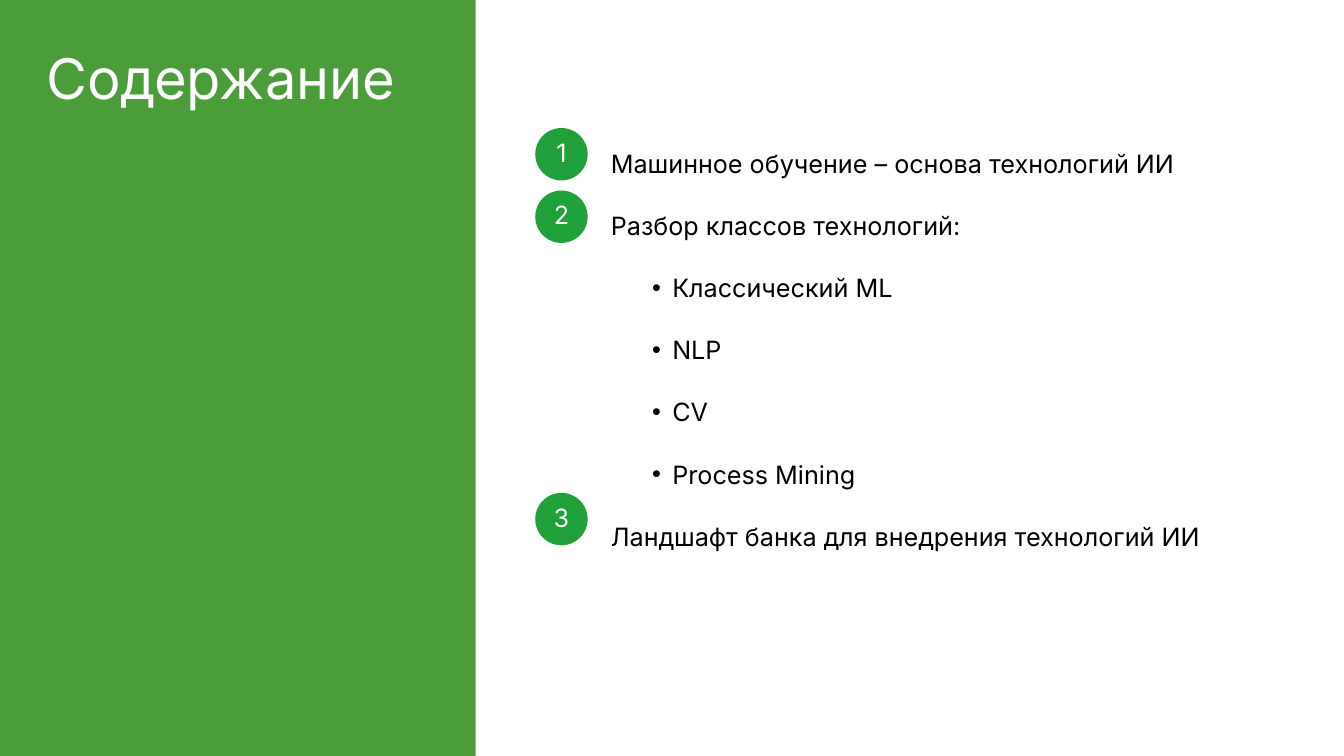
from pptx import Presentation
from pptx.dml.color import RGBColor
from pptx.enum.shapes import MSO_SHAPE
from pptx.enum.text import MSO_ANCHOR, PP_ALIGN
from pptx.oxml.ns import qn
from pptx.util import Pt
from lxml.etree import SubElement

WHITE = RGBColor(0xFF, 0xFF, 0xFF)
BLACK = RGBColor(0x00, 0x00, 0x00)
PANEL_GREEN = RGBColor(0x4B, 0x9D, 0x39)
BADGE_GREEN = RGBColor(0x1F, 0xA0, 0x39)

BADGE_TOPS = [91.44, 136.08, 352.08]
AGENDA = [
    ("Машинное обучение – основа технологий ИИ", []),
    ("Разбор классов технологий:",
     ["Классический ML", "NLP", "CV", "Process Mining"]),
    ("Ландшафт банка для внедрения технологий ИИ", []),
]


class Page:
    font_name = "Inter"
    inset = 3.6
    text_size = 18
    title_size = 40

    def __init__(self, slide):
        self.shapes = slide.shapes

    def shape(self, kind, left, top, width, height, color):
        shape = self.shapes.add_shape(
            kind, Pt(left), Pt(top), Pt(width), Pt(height))
        shape.shadow.inherit = False
        shape.fill.solid()
        shape.fill.fore_color.rgb = color
        shape.line.fill.background()
        return shape

    def prepare_frame(self, frame):
        frame.word_wrap = True
        frame.margin_left = frame.margin_right = Pt(self.inset)
        frame.margin_top = frame.margin_bottom = Pt(self.inset)
        return frame

    def text_frame(self, left, top, width, height):
        box = self.shapes.add_textbox(
            Pt(left), Pt(top), Pt(width), Pt(height))
        return self.prepare_frame(box.text_frame)

    def fill_para(self, para, text, size, color):
        para.text = text
        para.font.name = self.font_name
        para.font.size = Pt(size)
        para.font.color.rgb = color

    def title(self, text, left, top, width, height):
        frame = self.text_frame(left, top, width, height)
        self.fill_para(frame.paragraphs[0], text, self.title_size, WHITE)

    def badge(self, number, left, top, size):
        circle = self.shape(MSO_SHAPE.OVAL, left, top, size, size, BADGE_GREEN)
        frame = self.prepare_frame(circle.text_frame)
        frame.vertical_anchor = MSO_ANCHOR.MIDDLE
        para = frame.paragraphs[0]
        para.alignment = PP_ALIGN.CENTER
        para.line_spacing = 0.9
        self.fill_para(para, str(number), self.text_size, WHITE)

    def bullet(self, para):
        para.level = 1
        properties = para._p.get_or_add_pPr()
        properties.set("marL", str(Pt(43.92)))
        properties.set("indent", str(Pt(-14.4)))
        SubElement(properties, qn("a:buFont"), typeface="Arial")
        SubElement(properties, qn("a:buChar"), char="•")

    def agenda(self, sections, left, top, width, height):
        frame = self.text_frame(left, top, width, height)
        lines = []
        for heading, topics in sections:
            lines.append((heading, False))
            lines.extend((topic, True) for topic in topics)
        for index, (text, bulleted) in enumerate(lines):
            para = frame.add_paragraph() if index else frame.paragraphs[0]
            para.line_spacing = 1.5
            if index:
                para.space_before = Pt(12)
            if bulleted:
                self.bullet(para)
            self.fill_para(para, text, self.text_size, BLACK)


def main():
    deck = Presentation()
    deck.slide_width, deck.slide_height = Pt(960), Pt(540)
    page = Page(deck.slides.add_slide(deck.slide_layouts[6]))

    page.shape(MSO_SHAPE.RECTANGLE, 0, 0, 339.84, 540, PANEL_GREEN)
    page.agenda(AGENDA, 432.72, 91.44, 520, 289.44)
    for number, top in enumerate(BADGE_TOPS, start=1):
        page.badge(number, 382.32, top, 37.44)
    page.title("Содержание", 29.52, 27.36, 279.36, 55.44)

    deck.save("out.pptx")


if __name__ == "__main__":
    main()
